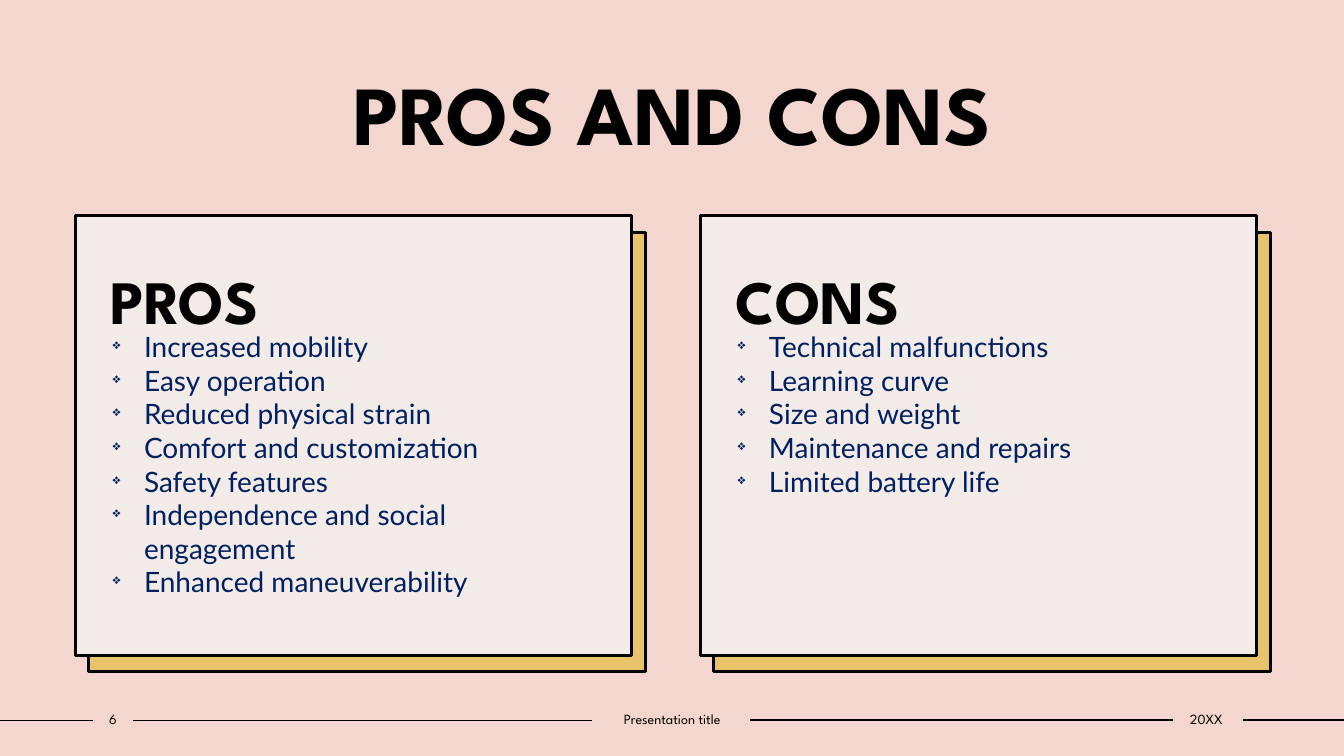
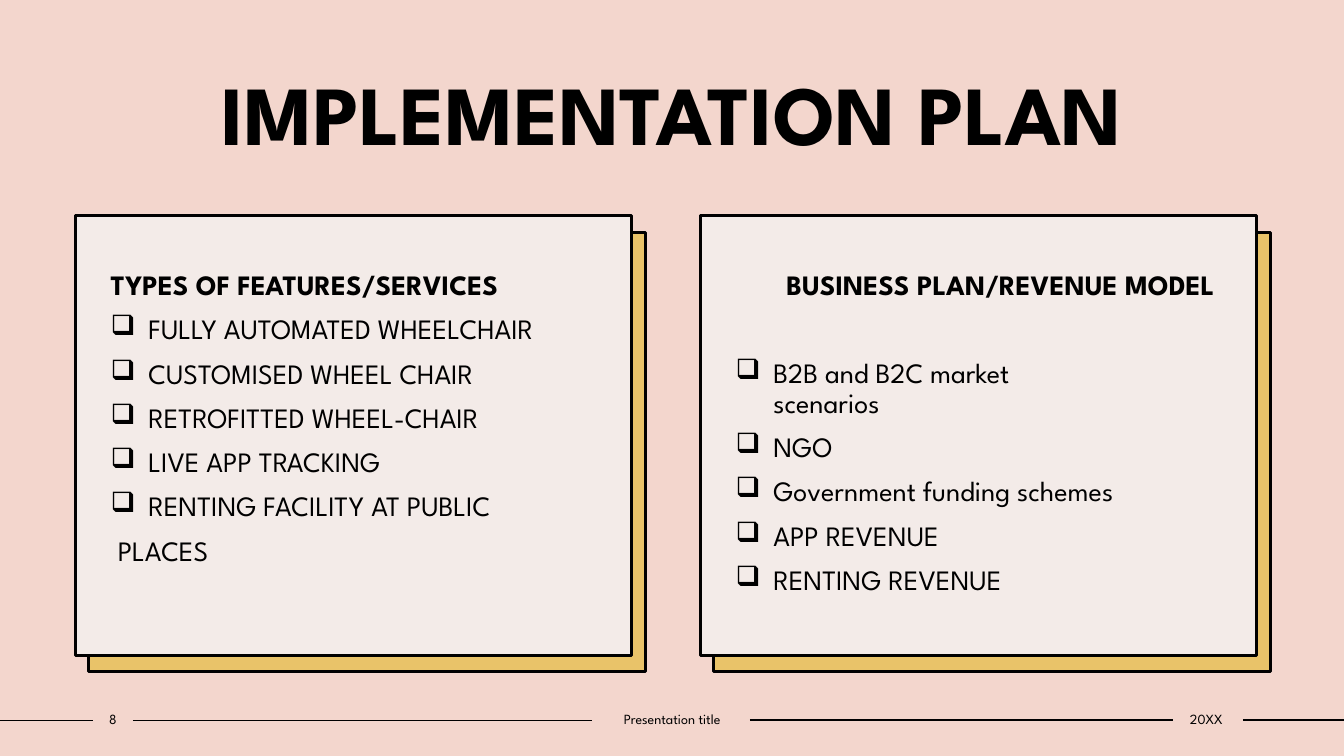
from lxml import etree
from pptx import Presentation
from pptx.dml.color import RGBColor
from pptx.enum.shapes import MSO_CONNECTOR, MSO_SHAPE
from pptx.enum.text import MSO_ANCHOR, PP_ALIGN
from pptx.oxml.ns import qn
from pptx.util import Cm, Pt

PINK = RGBColor(0xF3, 0xD6, 0xCD)
CREAM = RGBColor(0xF3, 0xEB, 0xE8)
GOLD = RGBColor(0xE9, 0xC3, 0x69)
BLACK = RGBColor(0, 0, 0)
NAVY = RGBColor(0, 0x20, 0x60)
HEAD_FONT, LIST_FONT = "League Spartan", "Lato"
RECT, STRAIGHT = MSO_SHAPE.RECTANGLE, MSO_CONNECTOR.STRAIGHT
LEFT, CENTER = PP_ALIGN.LEFT, PP_ALIGN.CENTER
TOP, MIDDLE = MSO_ANCHOR.TOP, MSO_ANCHOR.MIDDLE

CARD_W, CARD_H, CARD_Y = 14.02, 11.07, 5.44
CARD_XS = (1.9, 17.65)
SHADOW_DX, SHADOW_DY = 0.34, 0.41
RULES = ((0, 2.34, 18.16), (3.35, 14.91, 18.16),
         (18.9, 29.57, 18.14), (31.32, 33.87, 18.14))


def format_runs(p, size, font=HEAD_FONT, color=BLACK, bold=False):
    """Format every run of a paragraph."""
    for r in p.runs:
        r.font.size = Pt(size)
        r.font.name = font
        r.font.color.rgb = color
        r.font.bold = bold


def set_indent(p, margin, first=0):
    """Set the left margin and first-line indent in centimetres."""
    pPr = p._p.get_or_add_pPr()
    pPr.set("marL", str(Cm(margin)))
    pPr.set("indent", str(Cm(first)))


def set_bullet(p, char, indent, percent=100):
    """Give a paragraph a hanging bullet."""
    set_indent(p, indent, -indent)
    pPr = p._p.get_or_add_pPr()
    etree.SubElement(pPr, qn("a:buSzPct")).set("val", str(percent * 1000))
    etree.SubElement(pPr, qn("a:buChar")).set("char", char)


def add_text(s, x, y, w, h, text, size, bold=False, inset=0.25):
    """Add a centred line of text in a box."""
    tf = s.shapes.add_textbox(Cm(x), Cm(y), Cm(w), Cm(h)).text_frame
    tf.word_wrap = True
    tf.vertical_anchor = MIDDLE
    tf.margin_left = tf.margin_right = Cm(inset)
    p = tf.paragraphs[0]
    p.text = text
    p.alignment = CENTER
    format_runs(p, size, bold=bold)


def add_panel(s, x, y, fill):
    """Add an outlined rectangle of card size."""
    panel = s.shapes.add_shape(RECT, Cm(x), Cm(y), Cm(CARD_W), Cm(CARD_H))
    panel.shadow.inherit = False
    panel.fill.solid()
    panel.fill.fore_color.rgb = fill
    panel.line.color.rgb = BLACK
    panel.line.width = Pt(2)
    return panel


def add_card(s, x, heading, size):
    """Add a card with its offset backing and heading, and return its text frame."""
    add_panel(s, x + SHADOW_DX, CARD_Y + SHADOW_DY, GOLD)
    tf = add_panel(s, x, CARD_Y, CREAM).text_frame
    tf.word_wrap = True
    tf.vertical_anchor = TOP
    tf.margin_left, tf.margin_top = Cm(0.89), Cm(1.4)
    tf.margin_right, tf.margin_bottom = Cm(0.25), Cm(0.13)
    p = tf.paragraphs[0]
    p.text = heading
    p.alignment = LEFT
    p.line_spacing = 0.9
    format_runs(p, size, bold=True)
    return tf


def add_card_line(tf, text, space=10):
    """Add a body line to a card."""
    p = tf.add_paragraph()
    p.text = text
    p.alignment = LEFT
    p.line_spacing = 0.9
    p.space_before = Pt(space)
    format_runs(p, 20)
    return p


def add_list(s, x, items):
    """Add the diamond list that lies over the card at x."""
    box = s.shapes.add_textbox(Cm(x + 0.69), Cm(CARD_Y + 2.74), Cm(12.8), Cm(7.75))
    tf = box.text_frame
    tf.word_wrap = True
    tf.text = "\n".join(items)
    for p in tf.paragraphs:
        set_bullet(p, "❖", 0.79, 50)
        format_runs(p, 20, LIST_FONT, NAVY)


def add_footer(s, number):
    """Add the footer rules and texts."""
    for x1, x2, y in RULES:
        rule = s.shapes.add_connector(STRAIGHT, Cm(x1), Cm(y), Cm(x2), Cm(y))
        rule.line.color.rgb = BLACK
        rule.line.width = Pt(1)
        etree.SubElement(rule._element.spPr, qn("a:effectLst"))
    for x, w, text in ((2.34, 1.02, number), (14.91, 4.06, "Presentation title"),
                       (29.51, 1.78, "20XX")):
        add_text(s, x, 17.78, w, 0.69, text, 10, inset=0)


def add_base(prs, title, number):
    """Add a slide with background, title and footer."""
    s = prs.slides.add_slide(prs.slide_layouts[6])
    s.background.fill.solid()
    s.background.fill.fore_color.rgb = PINK
    add_text(s, 3.18, 1.42, 27.53, 2.82, title, 60, bold=True)
    add_footer(s, number)
    return s


def add_pros_cons(prs):
    """Build the pros and cons slide."""
    s = add_base(prs, "PROS AND CONS", "6")
    columns = (
        ("PROS", ("Increased mobility", "Easy operation",
                  "Reduced physical strain", "Comfort and customization",
                  "Safety features", "Independence and social engagement",
                  "Enhanced maneuverability")),
        ("CONS", ("Technical malfunctions", "Learning curve", "Size and weight",
                  "Maintenance and repairs", "Limited battery life")),
    )
    for x, (heading, items) in zip(CARD_XS, columns):
        add_card(s, x, heading, 44)
        add_list(s, x, items)


def add_plan(prs):
    """Build the implementation plan slide."""
    s = add_base(prs, "IMPLEMENTATION PLAN", "8")
    columns = (
        ("TYPES OF FEATURES/SERVICES", 10,
         ("FULLY AUTOMATED WHEELCHAIR", "CUSTOMISED WHEEL CHAIR",
          "RETROFITTED WHEEL-CHAIR", "LIVE APP TRACKING",
          "RENTING FACILITY AT PUBLIC")),
        ("BUSINESS PLAN/REVENUE MODEL", 41,
         ("B2B and B2C market\vscenarios", "NGO", "Government funding schemes",
          "APP REVENUE", "RENTING REVENUE")),
    )
    frames = []
    for x, (heading, gap, items) in zip(CARD_XS, columns):
        tf = add_card(s, x, heading, 20)
        for i, item in enumerate(items):
            set_bullet(add_card_line(tf, item, 10 if i else gap), "❑", 0.95)
        frames.append(tf)
    features, business = frames
    set_indent(add_card_line(features, "PLACES"), 0.18)
    set_indent(business.paragraphs[0], 1.28)


def main():
    """Build and save the presentation."""
    prs = Presentation()
    prs.slide_width, prs.slide_height = Cm(33.87), Cm(19.05)
    add_pros_cons(prs)
    add_plan(prs)
    prs.save("out.pptx")


if __name__ == "__main__":
    main()
